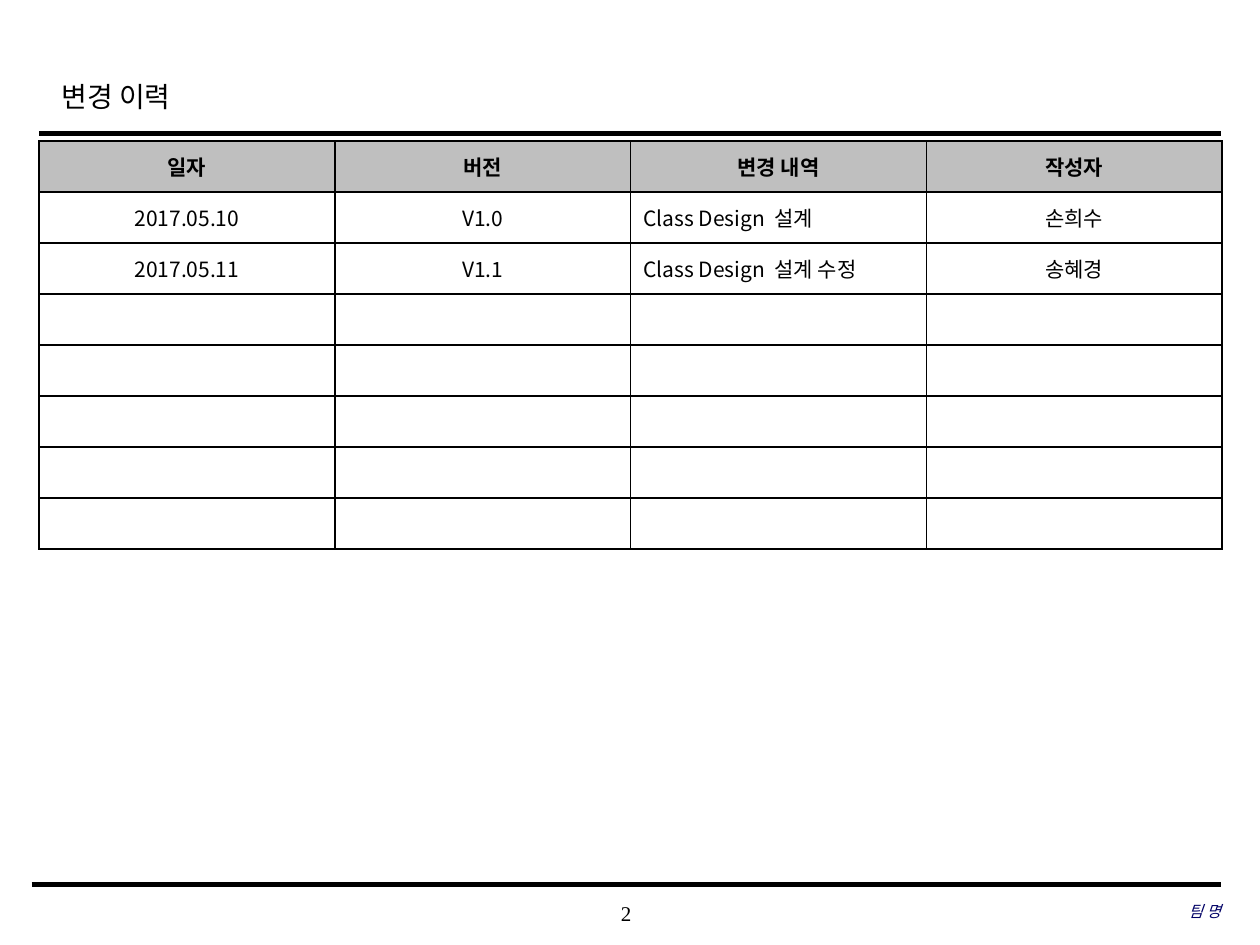
from lxml import etree
from pptx import Presentation
from pptx.dml.color import RGBColor
from pptx.enum.shapes import MSO_CONNECTOR
from pptx.enum.text import MSO_ANCHOR, PP_ALIGN
from pptx.oxml.ns import qn
from pptx.util import Inches, Pt

BLACK = RGBColor(0x00, 0x00, 0x00)
WHITE = RGBColor(0xFF, 0xFF, 0xFF)
GRAY = RGBColor(0xBF, 0xBF, 0xBF)
NAVY = RGBColor(0x00, 0x00, 0x66)
SERIF = "Times New Roman"
SANS = "Noto Sans CJK KR"
LEFT, CENTER, RIGHT = PP_ALIGN.LEFT, PP_ALIGN.CENTER, PP_ALIGN.RIGHT
MIDDLE = MSO_ANCHOR.MIDDLE
STRAIGHT = MSO_CONNECTOR.STRAIGHT

HEADINGS = ["일자", "버전", "변경 내역", "작성자"]
CHANGES = [
    ["2017.05.10", "V1.0", "Class Design  설계", "손희수"],
    ["2017.05.11", "V1.1", "Class Design  설계 수정", "송혜경"],
]
EMPTY_ROWS = 5
DESCRIPTION_COLUMN = 2


def format_text(frame, align, size, font, color=BLACK, bold=False, italic=False):
    paragraph = frame.paragraphs[0]
    paragraph.alignment = align
    for span in paragraph.runs:
        span.font.size = Pt(size)
        span.font.name = font
        span.font.bold = bold
        span.font.italic = italic
        span.font.color.rgb = color
        east_asian = etree.SubElement(span._r.get_or_add_rPr(), qn("a:ea"))
        east_asian.set("typeface", SANS)


def add_text(page, text, left, top, width, height, margins=(0, 0),
             spacing=1.0, **style):
    box = page.shapes.add_textbox(
        Inches(left), Inches(top), Inches(width), Inches(height))
    frame = box.text_frame
    frame.word_wrap = True
    frame.vertical_anchor = MIDDLE
    frame.margin_left = frame.margin_right = Inches(margins[0])
    frame.margin_top = frame.margin_bottom = Inches(margins[1])
    frame.text = text
    frame.paragraphs[0].line_spacing = spacing
    format_text(frame, **style)


def add_rule(page, left, right, top, width):
    rule = page.shapes.add_connector(
        STRAIGHT, Inches(left), Inches(top), Inches(right), Inches(top))
    rule.line.color.rgb = BLACK
    rule.line.width = Pt(width)
    etree.SubElement(rule._element.spPr, qn("a:effectLst"))


def add_borders(cell):
    properties = cell._tc.get_or_add_tcPr()
    for side in ("a:lnL", "a:lnR", "a:lnT", "a:lnB"):
        border = etree.SubElement(properties, qn(side), w=str(Pt(1)))
        fill = etree.SubElement(border, qn("a:solidFill"))
        etree.SubElement(fill, qn("a:srgbClr"), val=str(BLACK))


def fill_cell(cell, text, align, is_heading):
    add_borders(cell)
    cell.fill.solid()
    cell.fill.fore_color.rgb = GRAY if is_heading else WHITE
    cell.vertical_anchor = MIDDLE
    cell.margin_top = cell.margin_bottom = Inches(0.02)
    cell.text_frame.text = text
    format_text(cell.text_frame, align, 12, SANS, bold=is_heading)


def add_history_table(page):
    columns = len(HEADINGS)
    rows = [HEADINGS] + CHANGES + [[""] * columns] * EMPTY_ROWS
    table = page.shapes.add_table(
        len(rows), columns, Inches(0.31), Inches(1.12),
        Inches(9.39), Inches(3.24)).table
    for row, texts in enumerate(rows):
        for column, text in enumerate(texts):
            is_heading = row == 0
            is_description = column == DESCRIPTION_COLUMN and not is_heading
            align = LEFT if is_description else CENTER
            fill_cell(table.cell(row, column), text, align, is_heading)


def main():
    deck = Presentation()
    deck.slide_width, deck.slide_height = Inches(10), Inches(7.5)
    page = deck.slides.add_slide(deck.slide_layouts[6])
    add_text(page, "2", 3.93, 7.08, 2.08, 0.33,
             align=CENTER, size=12, font=SERIF)
    add_rule(page, 0.31, 9.69, 1.06, 2.5)
    add_rule(page, 0.25, 9.69, 7.02, 3)
    add_text(page, "변경 이력", 0.39, 0.49, 7.55, 0.5, margins=(0.1, 0.05),
             spacing=1.2, align=LEFT, size=16, font=SERIF)
    add_text(page, "팀 명", 6.63, 7.07, 3.06, 0.33,
             align=RIGHT, size=9, font=SERIF, color=NAVY, italic=True)
    add_history_table(page)
    deck.save("out.pptx")


main()
